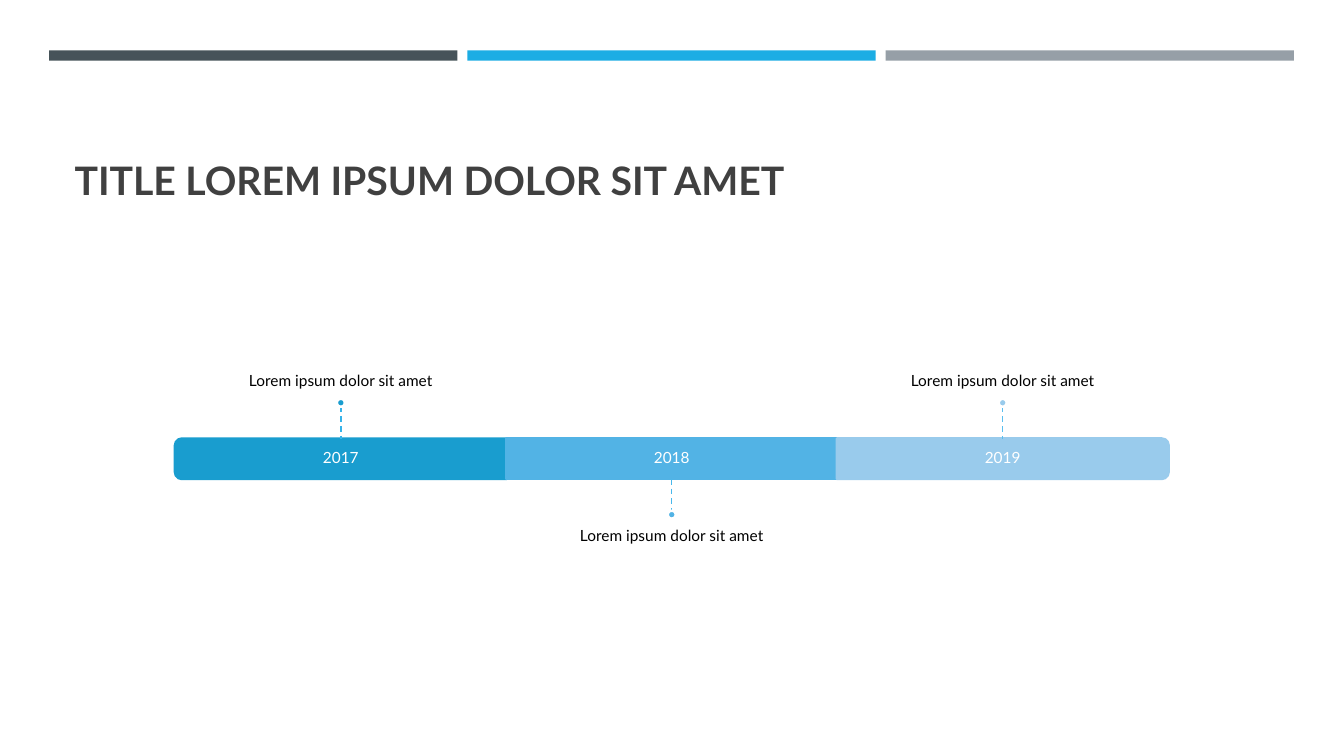
import pptx
import pptx.util
import pptx.dml.color
import pptx.enum.dml
import pptx.enum.shapes
import pptx.enum.text
from lxml import etree
from pptx.util import Cm

SHAPE = pptx.enum.shapes.MSO_SHAPE
ANCHOR = pptx.enum.text.MSO_ANCHOR
ALIGN = pptx.enum.text.PP_ALIGN

COLORS = {
    "slate": "465359", "blue": "1CADE4", "gray": "969FA7",
    "title": "404040", "black": "000000", "white": "FFFFFF",
    "bar_2017": "199DCF", "bar_2018": "52B3E5", "bar_2019": "99CBEC",
    "stem_2017": "36B3E9", "stem_2018": "48B8EC", "stem_2019": "5ABEEF",
}
FONT = "Lato"
CENTER_X, STEP = 16.93, 8.34
BAR_W, BAR_H, BAR_TOP = 8.36, 1.02, 11.05
STEM, DOT = 0.8, 0.2
LABEL_W, LABEL_H = 13.92, 3.53


def rgb(name):
    return pptx.dml.color.RGBColor.from_string(COLORS[name])


def add_block(s, kind, x, y, w, h, fill, line=None, rotation=0):
    sp = s.shapes.add_shape(kind, Cm(x), Cm(y), Cm(w), Cm(h))
    sp.shadow.inherit = False
    sp.rotation = rotation
    sp.fill.solid()
    sp.fill.fore_color.rgb = rgb(fill)
    if line:
        sp.line.color.rgb = rgb(line)
        sp.line.width = pptx.util.Pt(1.75)
    else:
        sp.line.fill.background()


def add_text(s, text, x, y, w, h, color, anchor, insets, size=11, bold=False,
             align=ALIGN.CENTER, spacing=0.9):
    tf = s.shapes.add_textbox(Cm(x), Cm(y), Cm(w), Cm(h)).text_frame
    tf.word_wrap = True
    tf.vertical_anchor = anchor
    tf.margin_left, tf.margin_top, tf.margin_right, tf.margin_bottom = map(Cm, insets)
    p = tf.paragraphs[0]
    p.alignment = align
    p.line_spacing = spacing
    r = p.add_run()
    r.text = text
    r.font.name = FONT
    r.font.size = pptx.util.Pt(size)
    r.font.bold = bold
    r.font.color.rgb = rgb(color)


def add_stem(s, x, top, bottom, color):
    c = s.shapes.add_connector(pptx.enum.shapes.MSO_CONNECTOR.STRAIGHT,
                               Cm(x), Cm(top), Cm(x), Cm(bottom))
    c.line.color.rgb = rgb(color)
    c.line.width = pptx.util.Pt(1)
    c.line.dash_style = pptx.enum.dml.MSO_LINE.DASH
    etree.SubElement(c._element.spPr, pptx.oxml.ns.qn("a:effectLst"))


def add_year(s, year, x, label, above, rotation):
    bar = f"bar_{year}"
    left = x - BAR_W / 2
    if rotation:
        add_block(s, SHAPE.ROUND_2_SAME_RECTANGLE, x - BAR_H / 2,
                  BAR_TOP + (BAR_H - BAR_W) / 2, BAR_H, BAR_W, bar, bar, rotation)
    else:
        add_block(s, SHAPE.RECTANGLE, left, BAR_TOP, BAR_W, BAR_H, bar, bar)
    add_text(s, year, left, BAR_TOP, BAR_W, BAR_H, "white", ANCHOR.MIDDLE, [0.23] * 4)
    if above:
        stem_top = BAR_TOP - STEM
        dot_top = stem_top - DOT
        label_top, anchor, insets = dot_top - LABEL_H, ANCHOR.BOTTOM, (0, 0, 0, 0.23)
    else:
        stem_top = BAR_TOP + BAR_H
        dot_top = stem_top + STEM
        label_top, anchor, insets = dot_top + DOT, ANCHOR.TOP, (0, 0.23, 0, 0)
    add_text(s, label, x - LABEL_W / 2, label_top, LABEL_W, LABEL_H, "black", anchor, insets)
    add_stem(s, x, stem_top, stem_top + STEM, f"stem_{year}")
    add_block(s, SHAPE.OVAL, x - DOT / 2, dot_top, DOT, DOT, bar, "white")


def main():
    prs = pptx.Presentation()
    prs.slide_width, prs.slide_height = Cm(33.87), Cm(19.05)
    s = prs.slides.add_slide(prs.slide_layouts[6])
    for i, color in enumerate(("slate", "blue", "gray")):
        add_block(s, SHAPE.RECTANGLE, 1.24 + i * 10.54, 1.27, 10.29, 0.26, color)
    add_text(s, "TITLE LOREM IPSUM DOLOR SIT AMET", 1.63, 1.96, 30.63, 3.3, "title",
             ANCHOR.BOTTOM, (0.25, 0.13, 0.25, 0.13), 28, True, ALIGN.LEFT, 1.0)
    years = (("2017", True, 270), ("2018", False, 0), ("2019", True, 90))
    for i, (year, above, rotation) in enumerate(years):
        add_year(s, year, CENTER_X + (i - 1) * STEP, "Lorem ipsum dolor sit amet",
                 above, rotation)
    prs.save("out.pptx")


if __name__ == "__main__":
    main()
